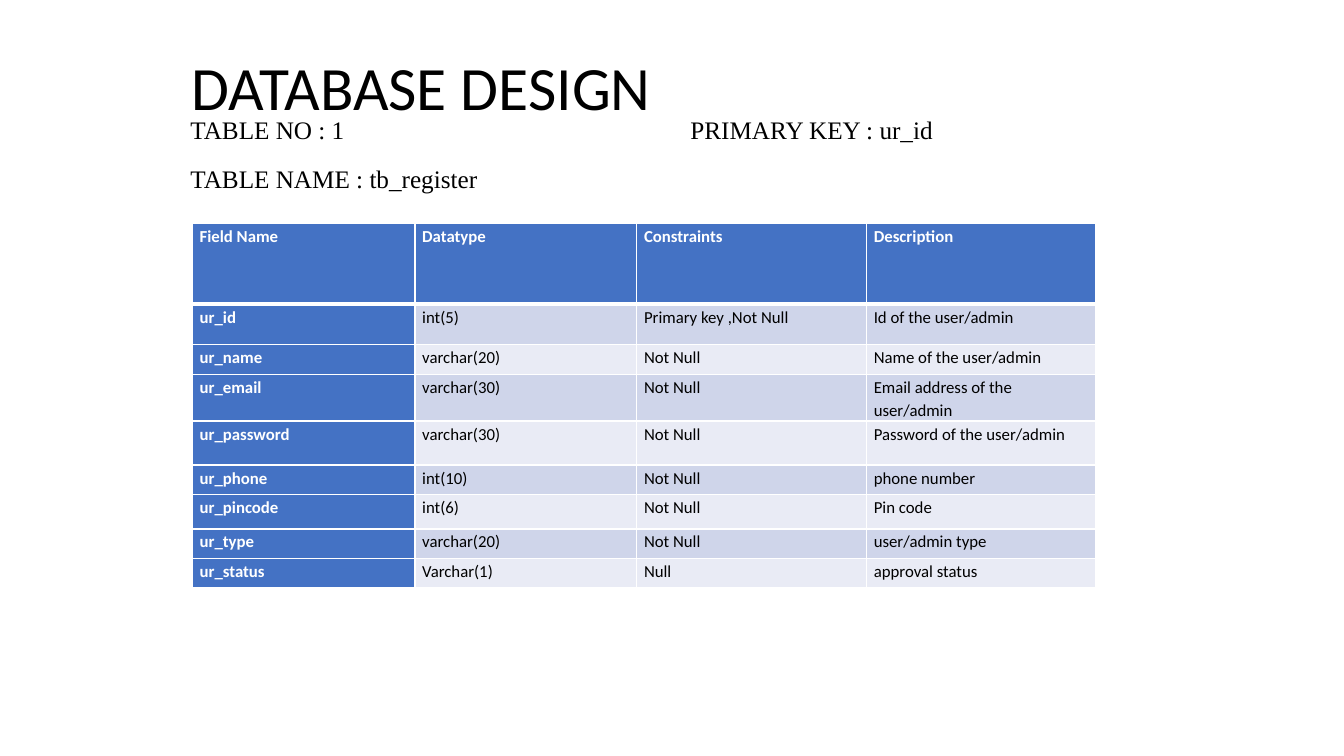
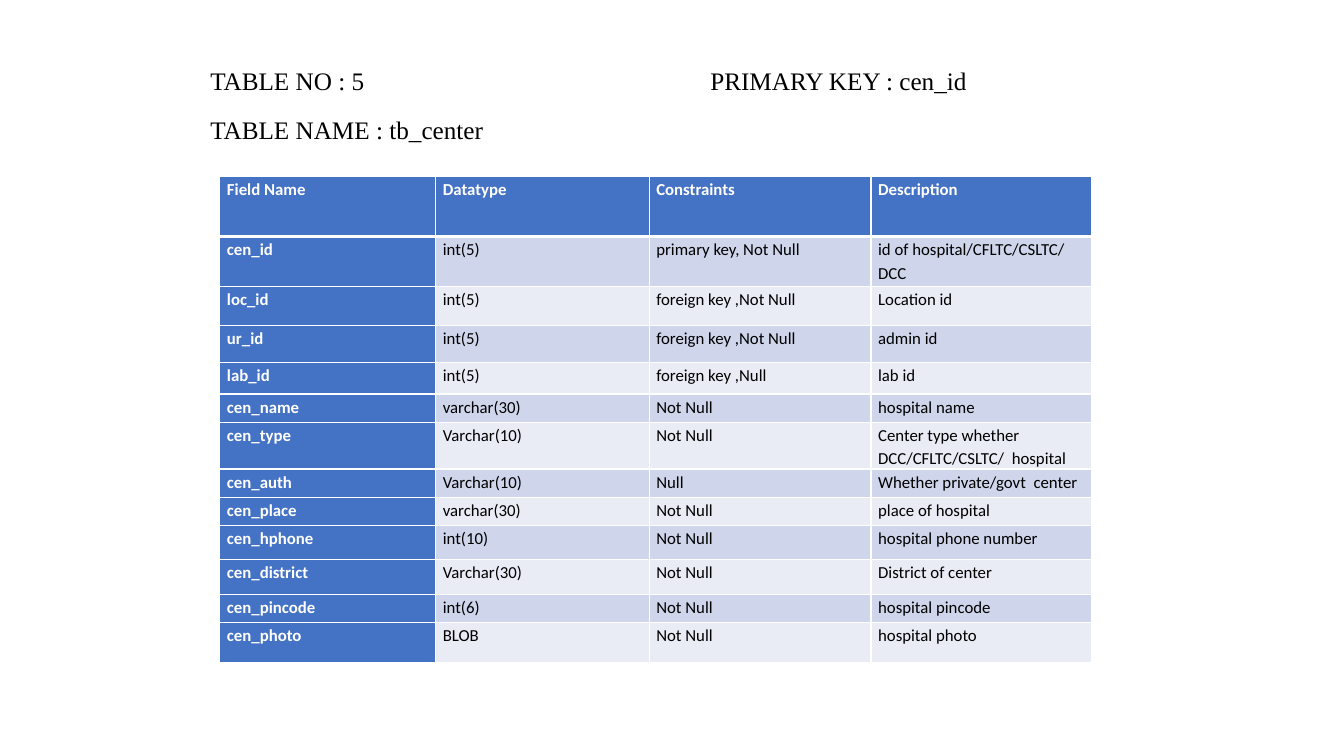
from lxml.etree import SubElement
from pptx import Presentation
from pptx.dml.color import RGBColor
from pptx.enum.text import MSO_ANCHOR as Anchor, MSO_AUTO_SIZE as AutoSize, PP_ALIGN as Align
from pptx.oxml.ns import qn
from pptx.util import Cm, Pt

TITLE_ONLY, BLANK = 5, 6
HEADINGS = ("Field Name", "Datatype", "Constraints", "Description")
REGISTER_ROWS = [
    (1.02, "ur_id", "int(5)", "Primary key ,Not Null", "Id of the user/admin"),
    (0.74, "ur_name", "varchar(20)", "Not Null", "Name of the user/admin"),
    (1.18, "ur_email", "varchar(30)", "Not Null", "Email address of the user/admin"),
    (1.11, "ur_password", "varchar(30)", "Not Null", "Password of the user/admin"),
    (0.75, "ur_phone", "int(10)", "Not Null", "phone number"),
    (0.86, "ur_pincode", "int(6)", "Not Null", "Pin code"),
    (0.75, "ur_type", "varchar(20)", "Not Null", "user/admin type"),
    (0.74, "ur_status", "Varchar(1)", "Null", "approval status"),
]
CENTER_ROWS = [
    (1.26, "cen_id", "int(5)", "primary key, Not Null", "id of hospital/CFLTC/CSLTC/ DCC"),
    (0.98, "loc_id", "int(5)", "foreign key ,Not Null", "Location id"),
    (0.94, "ur_id", "int(5)", "foreign key ,Not Null", "admin id"),
    (0.79, "lab_id", "int(5)", "foreign key ,Null", "lab id"),
    (0.71, "cen_name", "varchar(30)", "Not Null", "hospital name"),
    (1.18, "cen_type", "Varchar(10)", "Not Null",
     "Center type whether DCC/CFLTC/CSLTC/  hospital"),
    (0.71, "cen_auth", "Varchar(10)", "Null", "Whether private/govt  center"),
    (0.71, "cen_place", "varchar(30)", "Not Null", "place of hospital"),
    (0.86, "cen_hphone", "int(10)", "Not Null", "hospital phone number"),
    (0.88, "cen_district", "Varchar(30)", "Not Null", "District of center"),
    (0.71, "cen_pincode", "int(6)", "Not Null", "hospital pincode"),
    (1.0, "cen_photo", "BLOB", "Not Null", "hospital photo"),
]


def color(value):
    """Turn a hex string into a colour."""
    return RGBColor.from_string(value)


def write(paragraph, text, font="Calibri", size=12, ink="000000", bold=False,
          spacing=1.15, after=0, tab=None):
    """Fill a paragraph with formatted text."""
    paragraph.text = text
    paragraph.alignment = Align.LEFT
    paragraph.line_spacing = spacing
    paragraph.space_before, paragraph.space_after = Pt(0), Pt(after)
    if tab:
        stops = SubElement(paragraph._p.get_or_add_pPr(), qn("a:tabLst"))
        SubElement(stops, qn("a:tab"), pos=str(Cm(tab)), algn="l")
    for run in paragraph.runs:
        run.font.name, run.font.size, run.font.bold = font, Pt(size), bold
        run.font.color.rgb = color(ink)


class Deck:
    """Hold the shared style and the current slide."""

    WHITE, ACCENT = "FFFFFF", "4472C4"
    BANDS = ("E9EBF5", "CFD5EA")

    def __init__(self):
        """Start a widescreen presentation."""
        self.prs = Presentation()
        self.prs.slide_width, self.prs.slide_height = Cm(33.87), Cm(19.05)

    def add_slide(self, layout):
        """Add a slide and make it current."""
        self.slide = self.prs.slides.add_slide(self.prs.slide_layouts[layout])

    def title(self, text, left, top, width, height):
        """Place and format the title placeholder."""
        title = self.slide.shapes.title
        title.left, title.top, title.width, title.height = map(Cm, (left, top, width, height))
        frame = title.text_frame
        frame.auto_size, frame.vertical_anchor = AutoSize.NONE, Anchor.MIDDLE
        write(frame.paragraphs[0], text, size=44, spacing=0.9)

    def caption(self, number, name, key, left, top, width, height):
        """Write the table number, primary key and table name."""
        box = self.slide.shapes.add_textbox(*map(Cm, (left, top, width, height)))
        frame = box.text_frame
        frame.word_wrap, frame.auto_size = True, AutoSize.SHAPE_TO_FIT_TEXT
        style = dict(font="Times New Roman", size=18, after=10)
        write(frame.paragraphs[0], f"TABLE NO : {number}\tPRIMARY KEY : {key}", tab=12.6, **style)
        write(frame.add_paragraph(), f"TABLE NAME : {name}", **style)

    def border(self, cell, top, bottom):
        """Draw white cell borders with the given top and bottom widths."""
        properties = cell._tc.get_or_add_tcPr()
        for side, width in (("L", 1), ("R", 1), ("T", top), ("B", bottom)):
            line = SubElement(properties, qn(f"a:ln{side}"), w=str(Pt(width)))
            fill = SubElement(line, qn("a:solidFill"))
            SubElement(fill, qn("a:srgbClr"), val=self.WHITE)

    def field_table(self, rows, header_height, widths, left, top):
        """Add a field table with a header row, a header column and banded rows."""
        rows = [(header_height, *HEADINGS), *rows]
        height = sum(row[0] for row in rows)
        table = self.slide.shapes.add_table(
            len(rows), len(widths), Cm(left), Cm(top), Cm(sum(widths)), Cm(height)).table
        for column, width in zip(table.columns, widths):
            column.width = Cm(width)
        for r, (row_height, *texts) in enumerate(rows):
            table.rows[r].height = Cm(row_height)
            for c, text in enumerate(texts):
                cell, heading = table.cell(r, c), r == 0 or c == 0
                cell.margin_left = cell.margin_right = Cm(0.18)
                cell.margin_top = cell.margin_bottom = 0
                self.border(cell, 3 if r == 1 else 1, 3 if r == 0 else 1)
                cell.fill.solid()
                cell.fill.fore_color.rgb = color(self.ACCENT if heading else self.BANDS[r % 2])
                write(cell.text_frame.paragraphs[0], text, bold=heading,
                      ink=self.WHITE if heading else "000000")


def main():
    """Build and save the slides."""
    deck = Deck()
    deck.add_slide(TITLE_ONLY)
    deck.title("DATABASE DESIGN", 4.57, 0.5, 24.77, 3.55)
    deck.caption(1, "tb_register", "ur_id", 4.55, 2.64, 22.2, 2.34)
    deck.field_table(REGISTER_ROWS, 2.03, (5.61, 5.59, 5.79, 5.77), 4.85, 5.64)

    deck.add_slide(BLANK)
    deck.caption(5, "tb_center", "cen_id", 5.05, 1.42, 24.8, 2.39)
    deck.field_table(CENTER_ROWS, 1.51, (5.44, 5.38, 5.59, 5.56), 5.54, 4.45)
    deck.prs.save("out.pptx")


if __name__ == "__main__":
    main()
